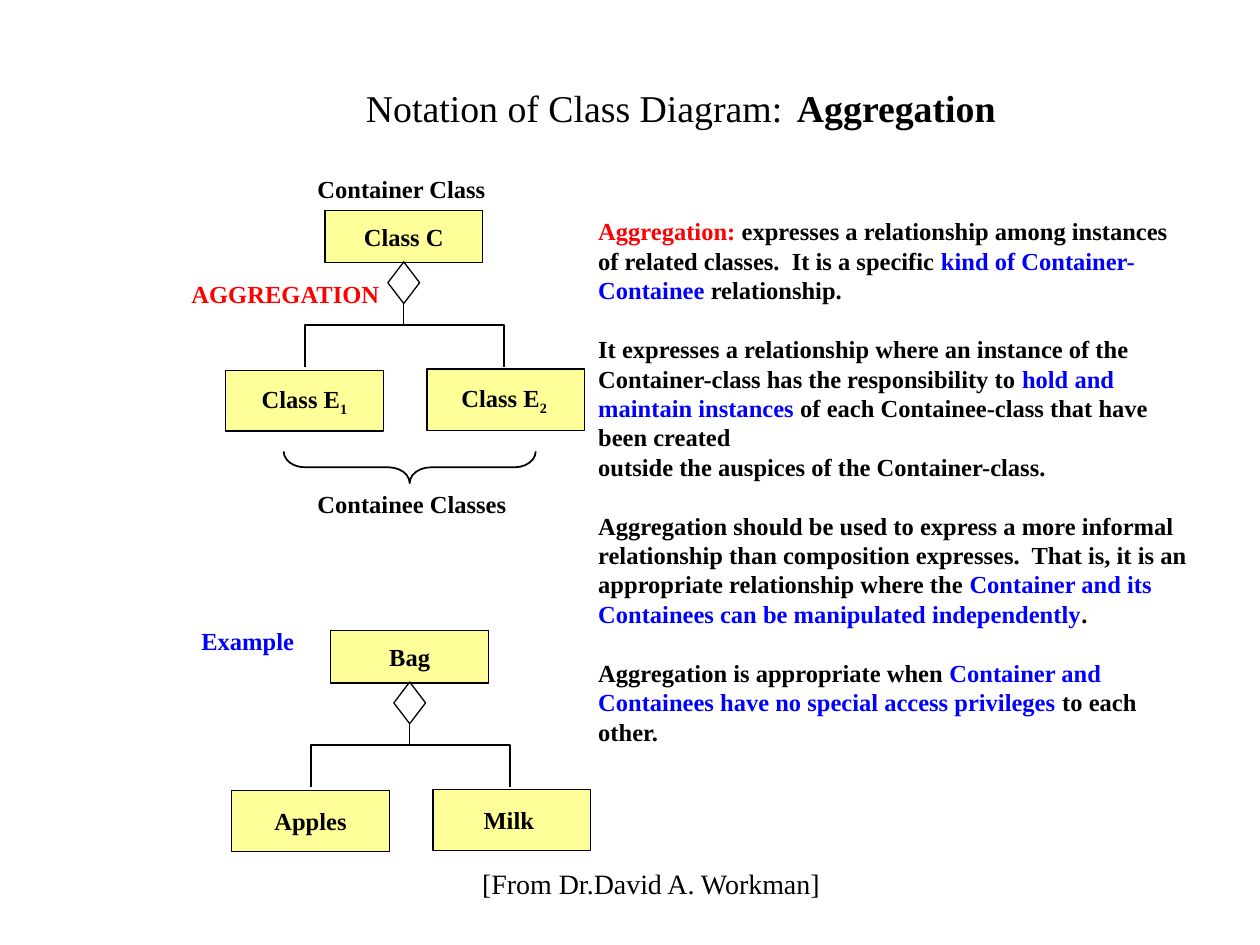
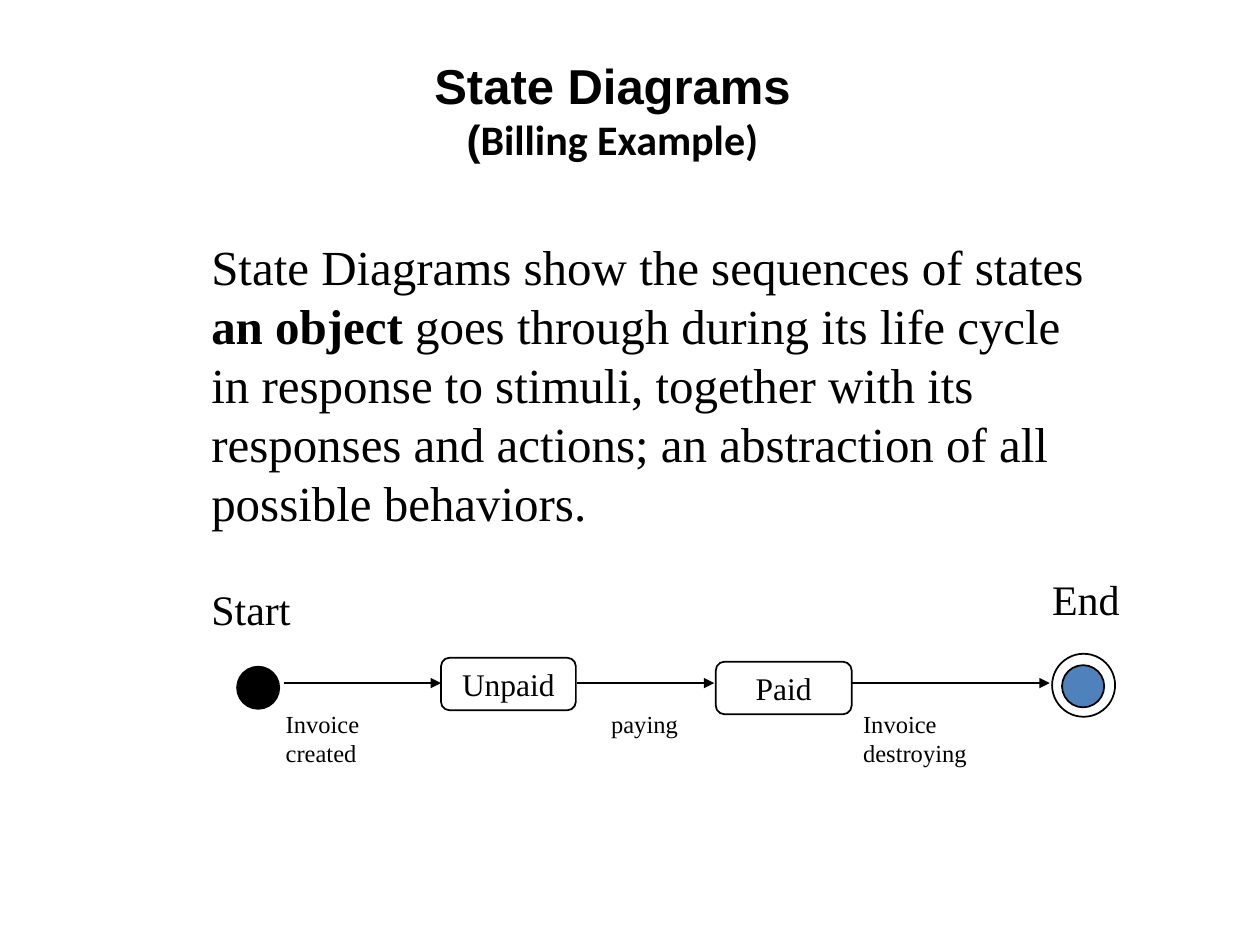
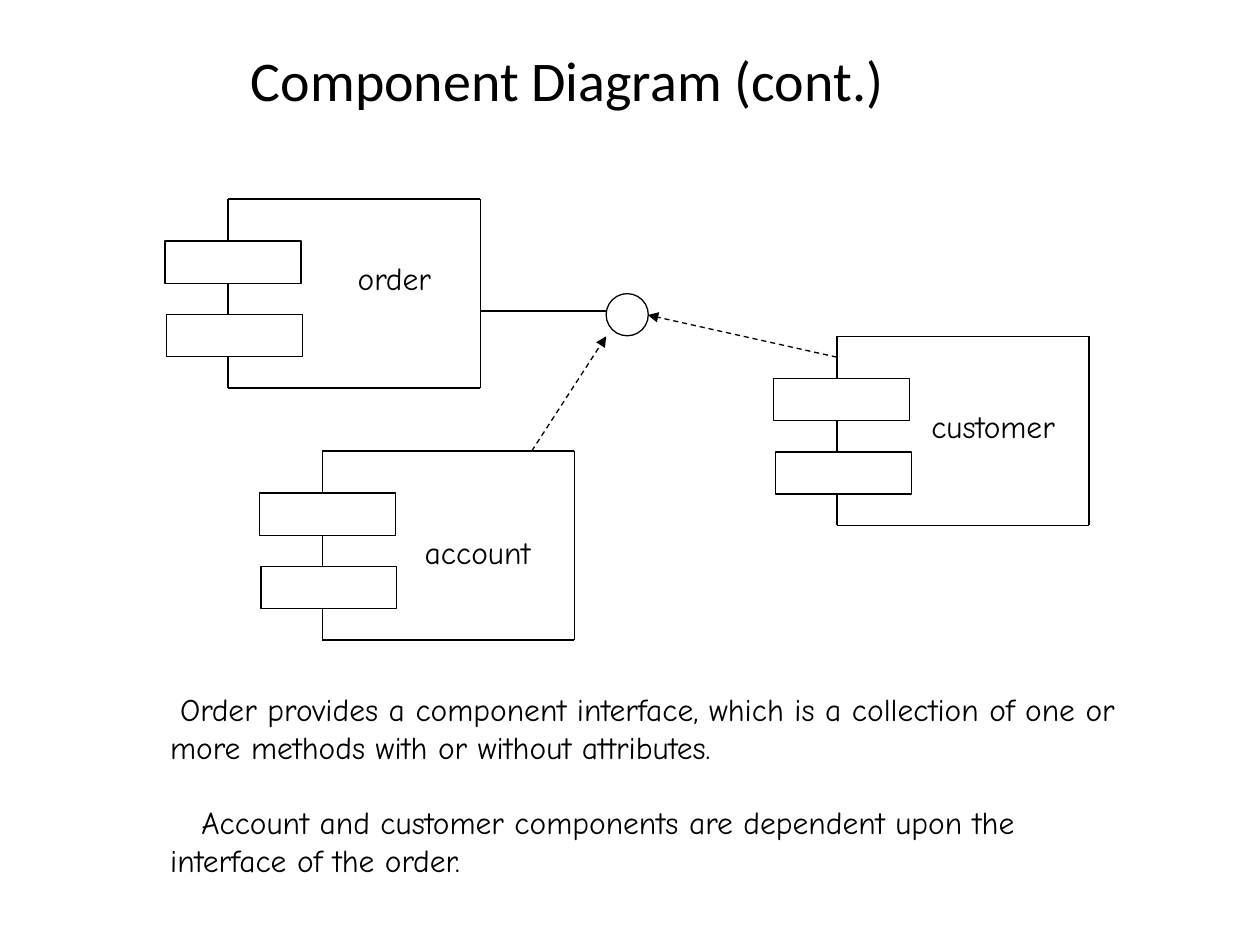
"""Build three slides on class, state and component diagrams."""
from pptx import Presentation
from pptx.dml.color import RGBColor
from pptx.enum.dml import MSO_LINE
from pptx.enum.shapes import MSO_CONNECTOR, MSO_SHAPE
from pptx.enum.text import MSO_ANCHOR, MSO_AUTO_SIZE, PP_ALIGN
from pptx.oxml.ns import qn
from pptx.util import Cm, Pt
from lxml.etree import SubElement

BLACK = RGBColor(0, 0, 0)
WHITE = RGBColor(255, 255, 255)
YELLOW = RGBColor(255, 255, 153)
RED = RGBColor(255, 0, 0)
BLUE = RGBColor(0, 0, 255)
STEEL = RGBColor(79, 129, 189)

SERIF = {"name": "Times New Roman", "size": Pt(14), "bold": False, "ink": BLACK}
STRONG = SERIF | {"bold": True}
COMIC = SERIF | {"name": "Comic Neue", "size": Pt(18)}
MID = {"vertical_anchor": MSO_ANCHOR.MIDDLE, "auto_size": MSO_AUTO_SIZE.NONE}
TOP = {"vertical_anchor": MSO_ANCHOR.TOP, "auto_size": MSO_AUTO_SIZE.SHAPE_TO_FIT_TEXT}


def place(slide, kind, box, paras=(), font=SERIF, fill=None, width=0.75,
          wrap=False, frame=TOP, align=PP_ALIGN.LEFT, gap=0):
    spot = [Cm(v) for v in box]
    if kind == "title":
        shape = slide.shapes.title
        for key, value in zip(("left", "top", "width", "height"), spot):
            setattr(shape, key, value)
        wrap, frame, align = True, MID, PP_ALIGN.CENTER
    elif kind == "text":
        shape = slide.shapes.add_textbox(*spot)
    else:
        shape = slide.shapes.add_shape(kind, *spot)
        shape.shadow.inherit = False
        shape.line.color.rgb = BLACK
        shape.line.width = Pt(width)
        if fill is None:
            shape.fill.background()
        else:
            shape.fill.solid()
            shape.fill.fore_color.rgb = fill
        frame, align = MID, PP_ALIGN.CENTER
    body = shape.text_frame
    for key, value in (frame | {"word_wrap": wrap}).items():
        setattr(body, key, value)
    for i, runs in enumerate(paras):
        para = body.add_paragraph() if i else body.paragraphs[0]
        para.alignment = align
        para.space_before = Pt(gap if i else 0)
        for text, style in runs:
            look = font | style
            ink = look.pop("ink")
            base = look.pop("base", None)
            for j, part in enumerate(text.split("\n")):
                if j:
                    para.add_line_break()
                if not part:
                    continue
                run = para.add_run()
                run.text = part
                for key, value in look.items():
                    setattr(run.font, key, value)
                run.font.color.rgb = ink
                if base:
                    run._r.get_or_add_rPr().set("baseline", base)
    return shape


def link(slide, ends, dash=False, head=False):
    line = slide.shapes.add_connector(MSO_CONNECTOR.STRAIGHT, *[Cm(v) for v in ends])
    line.line.color.rgb = BLACK
    line.line.width = Pt(0.75)
    if dash:
        line.line.dash_style = MSO_LINE.DASH
    props = line._element.spPr
    if head:
        SubElement(props.find(qn("a:ln")), qn("a:tailEnd"), type="triangle")
    SubElement(props, qn("a:effectLst"))


deck = Presentation()
deck.slide_width, deck.slide_height = Cm(25.4), Cm(19.05)
blank = deck.slide_layouts[5]
RECT, OVAL = MSO_SHAPE.RECTANGLE, MSO_SHAPE.OVAL

page = deck.slides.add_slide(blank)
place(page, "title", (2.74, 1.27, 21.97, 1.47), [[
    ("Notation of Class Diagram:", {}), (" ", {"size": Pt(32.4)}),
    ("Aggregation", {"bold": True})]], SERIF | {"size": Pt(21.6)})

sub = {"base": "-25000"}
trees = [
    (0, 0, [("Class C", {})], [("Class E", {}), ("1", sub)],
     [("Class E", {}), ("2 ", sub)]),
    (0.12, 8.47, [("Bag", {})], [("Apples", {})], [("Milk ", {})]),
]
for dx, dy, root, left, right in trees:
    nodes = [(6.55, 4.24, 1.06, root), (4.55, 7.47, 1.22, left),
             (8.61, 7.44, 1.24, right)]
    for x, y, high, runs in nodes:
        place(page, RECT, (x + dx, y + dy, 3.18, high), [runs], STRONG, YELLOW)
    x, y = 6.15 + dx, 6.55 + dy
    path = page.shapes.build_freeform(Cm(x), Cm(y + 0.84))
    path.add_line_segments([(Cm(x), Cm(y)), (Cm(x + 4.01), Cm(y)),
                            (Cm(x + 4.01), Cm(y + 0.84))], close=False)
    fork = path.convert_to_shape()
    fork.shadow.inherit = False
    fork.fill.background()
    fork.line.color.rgb = BLACK
    fork.line.width = Pt(0.75)
    link(page, (8.13 + dx, 6.1 + dy, 8.13 + dx, 6.55 + dy))
    place(page, MSO_SHAPE.DIAMOND, (7.82 + dx, 5.28 + dy, 0.64, 0.84))

brace = place(page, MSO_SHAPE.LEFT_BRACE, (7.94, 6.88, 0.64, 5.08), width=1)
brace.rotation = 270
brace.adjustments[0] = 0.667
labels = [
    (3.61, 5.5, 4.32, "AGGREGATION", RED),
    (6.15, 3.39, 3.91, "Container Class", BLACK),
    (6.15, 9.74, 4.32, "Containee Classes", BLACK),
    (3.81, 12.5, 2.39, "Example", BLUE),
]
for x, y, wide, text, ink in labels:
    place(page, "text", (x, y, wide, 0.85), [[(text, {"ink": ink})]], STRONG)

blue = {"ink": BLUE}
place(page, "text", (11.81, 4.24, 12.55, 10.9), [
    [("Aggregation: ", {"ink": RED}),
     ("expresses a relationship among instances\nof related classes.  "
      "It is a specific ", {}),
     ("kind of Container-Containee", blue), (" relationship.", {})],
    [("It expresses a relationship where an instance of the\n"
      "Container-class has the responsibility to ", {}),
     ("hold and maintain instances", blue),
     (" of each Containee-class that have been created\n"
      "outside the auspices of the Container-class.", {})],
    [("Aggregation should be used to express a more informal\n"
      "relationship than composition expresses.  That is, it is an\n"
      "appropriate relationship where the ", {}),
     ("Container and its\nContainees can be manipulated independently", blue),
     (".", {})],
    [("Aggregation is appropriate when ", {}),
     ("Container and Containees have no special access privileges", blue),
     (" to each other.", {})],
], STRONG, wrap=True, gap=16.8)
place(page, "text", (9.47, 17.35, 7.47, 0.94),
      [[("[From Dr.David A. Workman]", {"size": Pt(16)})]], wrap=True)

page = deck.slides.add_slide(blank)
title = place(page, "title", (1.9, 0.43, 19.25, 3.56), [[
    ("State Diagrams\n", {"size": Pt(28)}), ("(", {}),
    ("Billing Example)", {"name": "Calibri"})]],
    STRONG | {"name": "Arial", "size": Pt(24)})
title.text_frame.margin_left = Cm(1.9)
place(page, "text", (4.01, 4.65, 18.42, 7.98), [[
    ("State Diagrams show the sequences of states ", {}),
    ("an object", {"bold": True}),
    (" goes through during its life cycle in response to stimuli, together with "
     "its responses and actions; an abstraction of all possible behaviors.", {})]],
    SERIF | {"size": Pt(28)}, wrap=True)
for x, y, wide, text in [(4.01, 11.63, 2.74, "Start"), (20.96, 11.43, 1.91, "End")]:
    place(page, "text", (x, y, wide, 1.27), [[(text, {"size": Pt(24)})]], wrap=True)
for x, y, wide, text in [(8.89, 13.26, 2.72, "Unpaid"), (14.43, 13.34, 2.74, "Paid")]:
    place(page, MSO_SHAPE.FLOWCHART_ALTERNATE_PROCESS, (x, y, wide, 1.06),
          [[(text, {"size": Pt(18)})]], width=1)
for x, y, size, fill in [(4.78, 13.44, 0.85, BLACK), (21.41, 13.41, 0.85, STEEL),
                         (21.21, 13.18, 1.27, None)]:
    place(page, OVAL, (x, y, size, size), fill=fill, width=1)
moves = [
    (5.72, 8.89, 5.51, 3.66, "Invoice  created"),
    (11.63, 14.4, 12.07, 1.85, "paying"),
    (17.15, 21.16, 17.15, 4.19, "Invoice destroying"),
]
for start, end, x, wide, text in moves:
    link(page, (start, 13.77, end, 13.77), head=True)
    place(page, "text", (x, 14.17, wide, 0.85), [[(text, {})]])

page = deck.slides.add_slide(blank)
place(page, "title", (1.9, 0.43, 19.08, 2.34), [[("Component Diagram (cont.)", {})]],
      SERIF | {"name": "Calibri", "size": Pt(32)})
parts = [
    (4.6, 4.01, 6.78, 5.08, "order"),
    (6.5, 9.09, 8.46, 10.59, "account"),
    (16.87, 6.78, 18.85, 8.05, "customer"),
]
wide, high = 5.08, 3.81
edges = [(0, 0.85, 0, 0), (0, 2.33, 0, 1.7), (0, high, 0, 3.18),
         (0, 0, wide, 0), (wide, 0, wide, high), (0, high, wide, high)]
for x, y, tx, ty, text in parts:
    place(page, RECT, (x - 1.27, y + 0.85, 2.74, 0.85), fill=WHITE)
    place(page, RECT, (x - 1.24, y + 2.33, 2.74, 0.85))
    for a, b, c, d in edges:
        link(page, (x + a, y + b, x + c, y + d))
    place(page, "text", (tx, ty, 2.34, 1.06), [[(text, {})]], COMIC,
          frame=MID, align=PP_ALIGN.CENTER)
place(page, OVAL, (12.22, 5.92, 0.85, 0.85))
link(page, (9.68, 6.27, 12.22, 6.27))
for ends in [(10.72, 9.09, 12.22, 6.78), (16.87, 7.2, 13.06, 6.35)]:
    link(page, ends, dash=True, head=True)
notes = place(page, "text", (3.18, 13.79, 19.89, 4.06), [
    [("Order provides a component interface, which is a collection of one or "
      "more methods with or without attributes.", {})],
    [("Account and customer components are dependent upon the interface of "
      "the order.", {})]], COMIC, wrap=True, frame=MID, gap=21.4)
for para, dent in zip(notes.text_frame.paragraphs, (0.2, 0.63)):
    para._p.get_or_add_pPr().set("indent", str(Cm(dent)))

deck.save("out.pptx")
